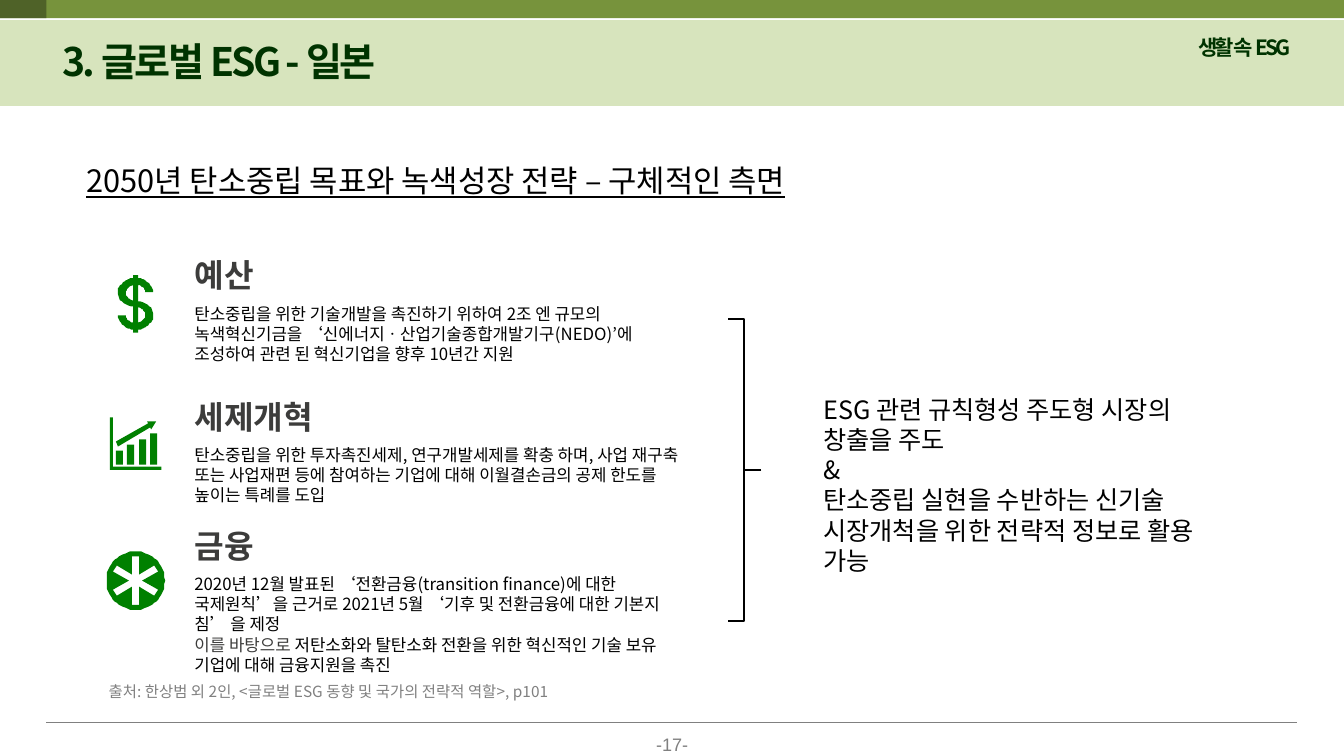
from dataclasses import dataclass
from math import cos, radians, sin

from lxml import etree
from pptx import Presentation
from pptx.dml.color import RGBColor
from pptx.enum import shapes, text
from pptx.oxml.ns import qn
from pptx.util import Cm, Pt

COLORS = {
    "pale": "D7E4BD", "olive": "77933C", "moss": "4F6228", "title": "003300",
    "icon": "008000", "heading": "3C3C3B", "black": "000000", "gray": "808080",
}
KOREAN = "Noto Sans CJK KR"
ICON_UNIT = Cm(0.0254)  # icon outlines are plotted on this grid

Point = tuple[float, float]
Contour = list[Point]
Run = tuple[str, str]  # wording, colour name


@dataclass
class Band:
    top: float
    width: float
    height: float
    color: str


@dataclass
class Label:
    left: float
    top: float
    width: float
    height: float
    paragraphs: list[list[Run]]
    size: float
    bold: bool = False
    underline: bool = False
    spacing: int = 0
    font: str = KOREAN
    align: text.PP_ALIGN = text.PP_ALIGN.LEFT
    anchor: text.MSO_ANCHOR = text.MSO_ANCHOR.TOP
    inset: Point = (0.25, 0.13)
    grow: bool = True


@dataclass
class Topic:
    top: float
    heading: str
    body: list[list[Run]]


BANDS = [
    Band(0.51, 33.87, 2.16, "pale"),
    Band(0, 33.87, 0.46, "olive"),
    Band(0, 1.17, 0.46, "moss"),
]
LABELS = [
    Label(15.77, 18.34, 2.34, 0.86, [[("-17-", "gray")]], 12.9, font="Arial",
          align=text.PP_ALIGN.CENTER, inset=(0.3, 0.15)),
    Label(29.95, 0.74, 3, 0.89, [[("생활 속 ESG", "title")]], 15, bold=True,
          spacing=-190, align=text.PP_ALIGN.JUSTIFY),
    Label(1.32, 0.81, 10.41, 1.45, [[("3. 글로벌 ESG - 일본", "title")]], 28,
          bold=True, spacing=-190),
    Label(1.93, 3.94, 18.8, 1.19,
          [[("2050년 탄소중립 목표와 녹색성장 전략 – 구체적인 측면", "black")]], 22,
          underline=True),
    Label(20.5, 9.8, 10.59, 4.11, [
        [("ESG 관련 규칙형성 주도형 시장의 창출을 주도", "black")],
        [("&", "black")],
        [("탄소중립 실현을 수반하는 신기술 시장개척을 위한 전략적 정보로 활용 가능", "black")],
    ], 18),
    Label(2.49, 17.07, 16.97, 0.74,
          [[("출처: 한상범 외 2인, <글로벌 ESG 동향 및 국가의 전략적 역할>, p101", "gray")]], 11),
]
TOPICS = [
    Topic(6.22, "예산", [[(
        "탄소중립을 위한 기술개발을 촉진하기 위하여 2조 엔 규모의 녹색혁신기금을 "
        "‘신에너지ㆍ산업기술종합개발기구(NEDO)’에 조성하여 관련 된 혁신기업을 향후 10년간 지원", "black")]]),
    Topic(9.78, "세제개혁", [[(
        "탄소중립을 위한 투자촉진세제, 연구개발세제를 확충 하며, 사업 재구축 또는 사업재편 등에 "
        "참여하는 기업에 대해 이월결손금의 공제 한도를 높이는 특례를 도입", "black")]]),
    Topic(13.03, "금융", [
        [("2020년 12월 발표된 ‘전환금융(transition finance)에 대한 국제원칙’을 근거로 "
          "2021년 5월 ‘기후 및 전환금융에 대한 기본지침’ 을 제정", "black")],
        [("이를 바탕으로 ", "heading"),
         ("저탄소화와 탈탄소화 전환을 위한 혁신적인 기술 보유 기업에 대해 금융지원을 촉진", "black")],
    ]),
]


def rgb(name: str) -> RGBColor:
    return RGBColor.from_string(COLORS[name])


def paint(shape, color: str) -> None:
    shape.shadow.inherit = False
    shape.fill.solid()
    shape.fill.fore_color.rgb = rgb(color)
    shape.line.fill.background()


def add_band(slide, band: Band) -> None:
    paint(slide.shapes.add_shape(shapes.MSO_SHAPE.RECTANGLE, 0, Cm(band.top),
                                 Cm(band.width), Cm(band.height)), band.color)


def add_label(slide, label: Label) -> None:
    box = slide.shapes.add_textbox(Cm(label.left), Cm(label.top),
                                   Cm(label.width), Cm(label.height))
    frame = box.text_frame
    frame.word_wrap = True
    frame.vertical_anchor = label.anchor
    frame.margin_left = frame.margin_right = Cm(label.inset[0])
    frame.margin_top = frame.margin_bottom = Cm(label.inset[1])
    frame.auto_size = (text.MSO_AUTO_SIZE.SHAPE_TO_FIT_TEXT if label.grow
                       else text.MSO_AUTO_SIZE.NONE)
    for index, runs in enumerate(label.paragraphs):
        paragraph = frame.add_paragraph() if index else frame.paragraphs[0]
        paragraph.alignment = label.align
        paragraph.line_spacing = Pt(round(label.size * 1.2, 1))
        font = paragraph.font
        font.name, font.size = label.font, Pt(label.size)
        font.bold, font.underline = label.bold, label.underline
        font.color.rgb = rgb(runs[0][1])
        defaults = paragraph._p.pPr.find(qn("a:defRPr"))
        defaults.set("spc", str(label.spacing))
        etree.SubElement(defaults, qn("a:ea")).set("typeface", label.font)
        for wording, color in runs:
            run = paragraph.add_run()
            run.text = wording
            if len(runs) > 1:
                run.font.color.rgb = rgb(color)


def add_topic(slide, topic: Topic) -> None:
    add_label(slide, Label(4.65, topic.top, 12.7, 1.45, [[(topic.heading, "heading")]], 23,
                           bold=True, anchor=text.MSO_ANCHOR.BOTTOM,
                           inset=(0.25, 0.25), grow=False))
    add_label(slide, Label(4.65, topic.top + 1.18, 12.7, 2.11, topic.body, 12,
                           inset=(0.25, 0.25), grow=False))


def add_line(slide, kind, start: Point, end: Point, color: str, width: float) -> None:
    line = slide.shapes.add_connector(kind, *map(Cm, start + end))
    line.line.color.rgb = rgb(color)
    line.line.width = Pt(width)
    etree.SubElement(line._element.spPr, qn("a:effectLst"))


def add_icon(slide, contours: list[Contour]) -> None:
    builder = slide.shapes.build_freeform(*contours[0][0], scale=ICON_UNIT)
    for index, contour in enumerate(contours):
        if index:
            builder.move_to(*contour[0])
        builder.add_line_segments(contour[1:], close=True)
    paint(builder.convert_to_shape(), "icon")


def curve(*controls: Point) -> Contour:
    """Points along a cubic curve, both ends included."""
    steps = 8
    points = []
    for t in (step / steps for step in range(steps + 1)):
        weights = ((1 - t) ** 3, 3 * t * (1 - t) ** 2, 3 * t * t * (1 - t), t ** 3)
        points.append(tuple(sum(w * p[axis] for w, p in zip(weights, controls))
                            for axis in (0, 1)))
    return points


def polar(center: Point, radius: float, degrees: float) -> Point:
    return (center[0] + radius * cos(radians(degrees)),
            center[1] + radius * sin(radians(degrees)))


def dollar_sign() -> list[Contour]:
    """The lower half and its half-turn make the whole sign."""
    outline = [
        *curve((137, 299), (143, 300), (150, 302), (152, 311)),
        *curve((152, 311), (153, 316), (150, 321), (145, 324)),
        *curve((145, 324), (142, 326), (140, 327), (137, 327)),
        (137, 330), (132, 330),
        *curve((132, 327), (130, 327), (128, 326), (127, 326)),
        *curve((127, 326), (121, 323), (117, 318), (117, 313)),
        *curve((125, 313), (125, 316), (127, 318), (130, 320)),
        (132, 320), (132, 304),
    ]
    bowl = [
        (137, 305), (137, 320), (140, 319),
        *curve((140, 319), (143, 317), (145, 314), (144, 311)),
        *curve((144, 311), (143, 308), (141, 306), (137, 305)),
    ]

    def half_turn(contour: Contour) -> Contour:
        return [(269 - x, 603 - y) for x, y in contour]

    return [outline + half_turn(outline), bowl, half_turn(bowl)]


def growth_chart() -> list[Contour]:
    bars = []
    for index in range(4):
        left, top = 115 + 11.4 * index, 447 - 5.67 * index
        bars.append([(left, top), (left + 7, top), (left + 7, 461), (left, 461)])
    arrow = [(146, 418), (155, 418), (150, 426), (149, 424), (117, 443), (115, 438), (147, 420)]
    axes = [(109, 414), (112, 414), (112, 463), (160.5, 463), (160.5, 466), (109, 466)]
    return [*bars, arrow, axes]


def asterisk_disc() -> list[Contour]:
    center = (134.5, 576)
    disc = [polar(center, 29, degrees) for degrees in range(0, 360, 5)]
    asterisk = []
    for arm in range(30, 390, 60):
        asterisk += [polar(center, 24, arm - 8.5), polar(center, 24, arm + 8.5),
                     polar(center, 6.5, arm + 30)]
    return [disc, asterisk]


def main() -> None:
    deck = Presentation()
    deck.slide_width, deck.slide_height = Cm(33.87), Cm(19.05)
    slide = deck.slides.add_slide(deck.slide_layouts[6])
    for band in BANDS:
        add_band(slide, band)
    add_line(slide, shapes.MSO_CONNECTOR.STRAIGHT, (1.17, 18.21), (32.69, 18.21), "gray", 0.5)
    for label in LABELS:
        add_label(slide, label)
    for topic in TOPICS:
        add_topic(slide, topic)
    for icon in (growth_chart(), dollar_sign(), asterisk_disc()):
        add_icon(slide, icon)
    for bracket_end in (8.03, 15.65):
        add_line(slide, shapes.MSO_CONNECTOR.ELBOW, (19.18, 11.84), (18.34, bracket_end),
                 "black", 1.5)
    deck.save("out.pptx")


if __name__ == "__main__":
    main()
